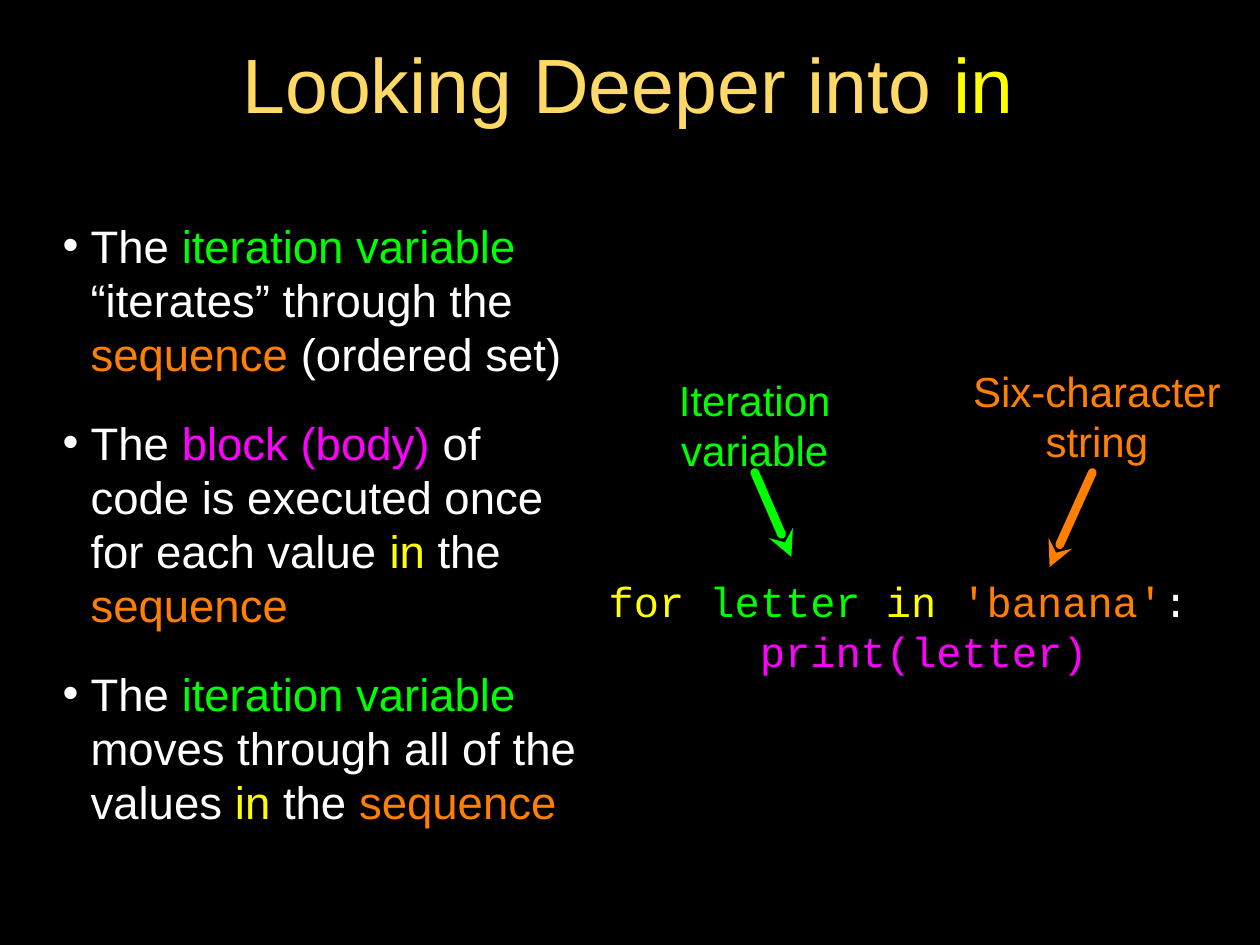
from lxml.etree import SubElement
from pptx import Presentation
from pptx.dml.color import RGBColor
from pptx.enum.shapes import MSO_CONNECTOR as CONN
from pptx.enum.text import MSO_ANCHOR as ANCHOR, PP_ALIGN as ALIGN
from pptx.oxml.ns import qn
from pptx.util import Pt

BLACK = RGBColor(0x00, 0x00, 0x00)
WHITE = RGBColor(0xFF, 0xFF, 0xFF)
GOLD = RGBColor(0xFF, 0xD9, 0x66)
YELLOW = RGBColor(0xFF, 0xFF, 0x00)
GREEN = RGBColor(0x00, 0xFF, 0x00)
ORANGE = RGBColor(0xFF, 0x7F, 0x00)
MAGENTA = RGBColor(0xFF, 0x00, 0xFF)


class Deck:
    """Holds the style and the current slide."""
    sans, mono = "Arial", "Courier New"
    leading = 1.19

    def __init__(self, width, height):
        self.prs = Presentation()
        self.prs.slide_width, self.prs.slide_height = Pt(width), Pt(height)
        self.s = self.prs.slides.add_slide(self.prs.slide_layouts[6])
        fill = self.s.background.fill
        fill.solid()
        fill.fore_color.rgb = BLACK

    def text(self, box, paragraphs, size, font=sans, align=ALIGN.LEFT,
             inset=0, drop=2, bullets=False):
        """Middle-anchored text; drop lowers the lines within the box."""
        tf = self.s.shapes.add_textbox(*map(Pt, box)).text_frame
        tf.word_wrap = True
        tf.vertical_anchor = ANCHOR.MIDDLE
        tf.margin_left = tf.margin_right = tf.margin_bottom = Pt(inset)
        tf.margin_top = Pt(inset + 2 * drop)
        for i, runs in enumerate(paragraphs):
            p = tf.paragraphs[0] if i == 0 else tf.add_paragraph()
            p.alignment = align
            p.line_spacing = Pt(round(size * self.leading, 1))
            if bullets:
                if i:
                    p.space_before = Pt(19.8)
                self.bullet(p)
            for words, color in runs:
                r = p.add_run()
                r.text = words
                r.font.name, r.font.size = font, Pt(size)
                r.font.color.rgb = color

    def bullet(self, p):
        pPr = p._p.get_or_add_pPr()
        pPr.set("marL", str(Pt(33)))
        pPr.set("indent", str(Pt(-16)))
        color = SubElement(pPr, qn("a:buClr"))
        SubElement(color, qn("a:srgbClr"), val=str(WHITE))
        SubElement(pPr, qn("a:buFont"), typeface=self.sans)
        SubElement(pPr, qn("a:buChar"), char="•")

    def arrow(self, tip, end, color):
        c = self.s.shapes.add_connector(CONN.STRAIGHT, *map(Pt, tip + end))
        c.line.color.rgb = color
        c.line.width = Pt(5)
        ln = c.line._get_or_add_ln()
        ln.set("cap", "rnd")
        SubElement(ln, qn("a:headEnd"), type="stealth")
        SubElement(c._element.spPr, qn("a:effectLst"))

    def save(self):
        self.prs.save("out.pptx")


def main():
    deck = Deck(720, 540)

    # Title
    deck.text((50.4, 18, 617, 56.9),
              [[("Looking Deeper into ", GOLD), ("in", YELLOW)]],
              44, align=ALIGN.CENTER, inset=1.5, drop=1)

    # Explanation
    iteration = ("iteration variable ", GREEN)
    sequence = ("sequence", ORANGE)
    in_the = [("in", YELLOW), (" the ", WHITE), sequence]
    deck.text((17.3, 74.9, 319, 446.4), [
        [("The ", WHITE), iteration, ("“iterates” through the ", WHITE),
         sequence, (" (ordered set)", WHITE)],
        [("The ", WHITE), ("block (body)", MAGENTA),
         (" of code is executed once for each value ", WHITE)] + in_the,
        [("The ", WHITE), iteration,
         ("moves through all of the values ", WHITE)] + in_the,
    ], 26, inset=1.5, drop=1, bullets=True)

    # Code
    deck.text((347.8, 301, 362.2, 105.8), [
        [("for ", YELLOW), ("letter ", GREEN), ("in ", YELLOW),
         ("'banana'", ORANGE), (":", WHITE)],
        [("      print(letter)", MAGENTA)],
    ], 24, font=deck.mono, drop=4)

    # Labels and their arrows into the code
    for words, color, box, tip, end in (
        ("Iteration variable", GREEN, (359.3, 213.1, 144, 56.9),
         (452.2, 318.2), (431.3, 270)),
        ("Six-character string", ORANGE, (543.6, 213.1, 166.3, 47.5),
         (599.8, 324), (624.2, 270)),
    ):
        deck.text(box, [[(words, color)]], 24, align=ALIGN.CENTER, drop=1)
        deck.arrow(tip, end, color)

    deck.save()


if __name__ == "__main__":
    main()
